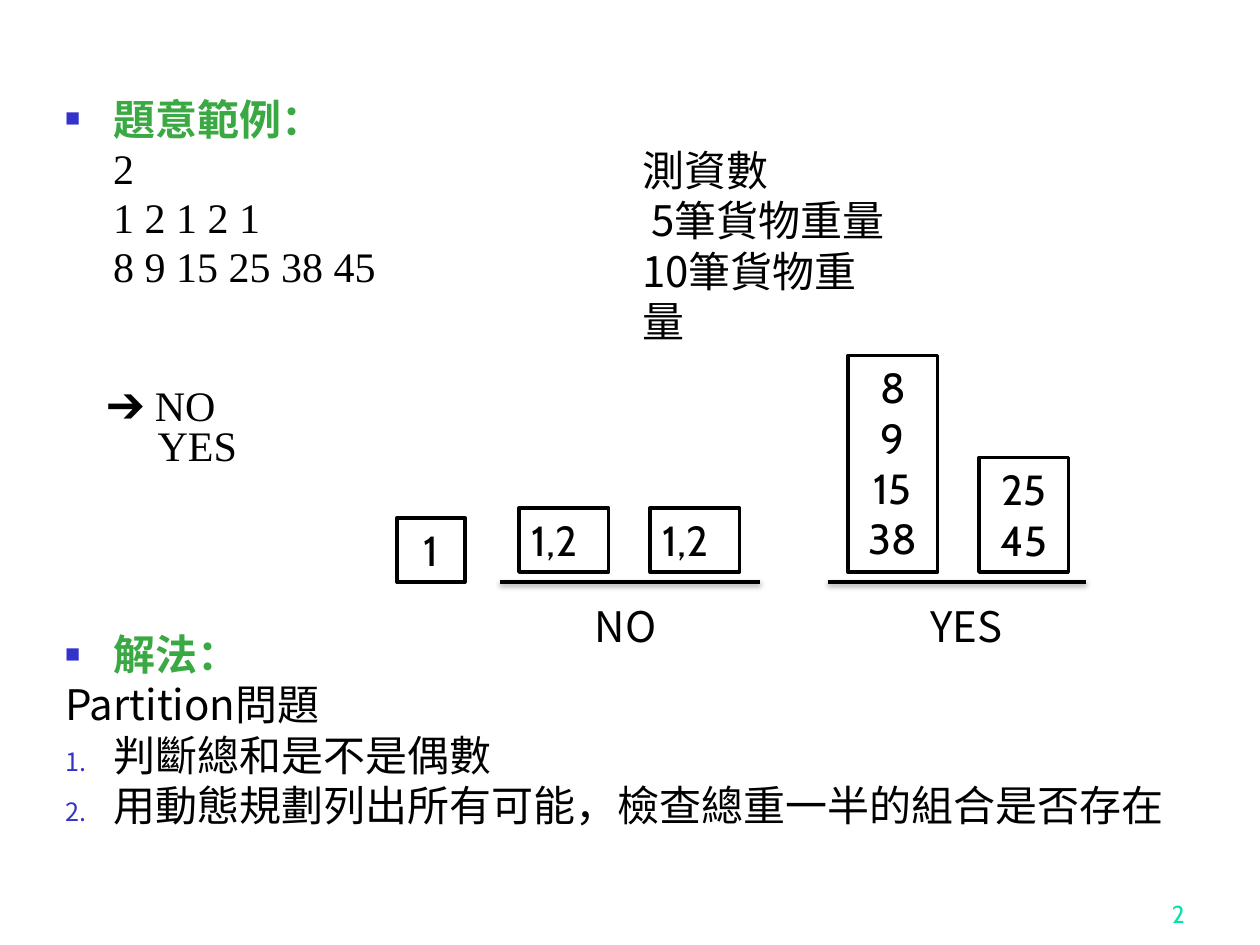
from dataclasses import dataclass
from typing import Optional

import lxml.etree
import pptx
import pptx.dml.color
import pptx.enum.shapes
import pptx.enum.text
import pptx.oxml.ns
import pptx.util

Pt = pptx.util.Pt
RGBColor = pptx.dml.color.RGBColor
Align = pptx.enum.text.PP_ALIGN
Anchor = pptx.enum.text.MSO_ANCHOR
qn = pptx.oxml.ns.qn

BLACK = RGBColor(0x00, 0x00, 0x00)
WHITE = RGBColor(0xFF, 0xFF, 0xFF)
HEADING_GREEN = RGBColor(0x3B, 0xA9, 0x43)
BULLET_BLUE = RGBColor(0x33, 0x33, 0xCC)
PAGE_GREEN = RGBColor(0x00, 0xE4, 0xA8)

SERIF = "Times New Roman"
HAN = "Noto Sans CJK SC"
LABEL = "Noto Sans CJK JP"
ROUND = "Cabin"

HANG = 27.36
BASE_Y = 332.6
BOX_WIDTH = 51.1
SQUARE = "square"
NUMBER = "number"


@dataclass(frozen=True)
class Line:
    text: str
    color: RGBColor = BLACK
    bold: bool = False
    margin: float = 0
    indent: float = 0
    marker: Optional[str] = None


@dataclass(frozen=True)
class Block:
    left: float
    top: float
    width: float
    height: float
    lines: tuple[Line, ...]
    font: str
    pitch: Optional[float] = None
    inset_top: float = 3.6
    align: Align = Align.LEFT
    size: float = 24
    anchor: Anchor = Anchor.TOP


@dataclass(frozen=True)
class Crate:
    left: float
    bottom: float
    height: float
    weights: tuple[str, ...]
    width: float = BOX_WIDTH
    align: Align = Align.CENTER


def add_marker(properties, marker: str) -> None:
    color = lxml.etree.SubElement(properties, qn("a:buClr"))
    lxml.etree.SubElement(color, qn("a:srgbClr"), val=str(BULLET_BLUE))
    lxml.etree.SubElement(properties, qn("a:buSzPct"), val="60000")
    if marker == NUMBER:
        lxml.etree.SubElement(properties, qn("a:buFont"), typeface=HAN)
        lxml.etree.SubElement(properties, qn("a:buAutoNum"), type="arabicPeriod")
    else:
        lxml.etree.SubElement(properties, qn("a:buFont"), typeface=SERIF)
        lxml.etree.SubElement(properties, qn("a:buChar"), char="■")


def write_lines(frame, block: Block) -> None:
    frame.word_wrap = True
    frame.margin_left = frame.margin_right = Pt(7.2)
    frame.margin_top, frame.margin_bottom = Pt(block.inset_top), Pt(3.6)
    frame.vertical_anchor = block.anchor
    frame.text = "\n".join(line.text for line in block.lines)
    for paragraph, line in zip(frame.paragraphs, block.lines):
        properties = paragraph._p.get_or_add_pPr()
        properties.set("marL", str(Pt(line.margin)))
        properties.set("indent", str(Pt(line.indent)))
        if line.marker:
            add_marker(properties, line.marker)
        paragraph.alignment = block.align
        if block.pitch:
            paragraph.line_spacing = Pt(block.pitch)
        for run in paragraph.runs:
            run.font.size = Pt(block.size)
            run.font.bold = line.bold
            run.font.color.rgb = line.color
            run.font.name = block.font
            east_asian = lxml.etree.Element(qn("a:ea"), typeface=HAN)
            run.font._element.find(qn("a:latin")).addnext(east_asian)


def draw_block(slide, block: Block) -> None:
    area = slide.shapes.add_textbox(
        Pt(block.left), Pt(block.top), Pt(block.width), Pt(block.height))
    write_lines(area.text_frame, block)


def draw_crate(slide, crate: Crate) -> None:
    top = crate.bottom - crate.height
    box = slide.shapes.add_shape(
        pptx.enum.shapes.MSO_SHAPE.RECTANGLE,
        Pt(crate.left), Pt(top), Pt(crate.width), Pt(crate.height))
    box.shadow.inherit = False
    box.fill.solid()
    box.fill.fore_color.rgb = WHITE
    box.line.color.rgb = BLACK
    box.line.width = Pt(2)
    weights = tuple(Line(weight) for weight in crate.weights)
    write_lines(box.text_frame, Block(
        crate.left, top, crate.width, crate.height, weights, ROUND,
        align=crate.align))


def draw_scale(slide, start: float, end: float) -> None:
    scale = slide.shapes.add_connector(
        pptx.enum.shapes.MSO_CONNECTOR.STRAIGHT,
        Pt(start), Pt(BASE_Y), Pt(end), Pt(BASE_Y))
    scale.line.color.rgb = BLACK
    scale.line.width = Pt(2)
    effects = lxml.etree.SubElement(scale._element.spPr, qn("a:effectLst"))
    shadow = lxml.etree.SubElement(
        effects, qn("a:outerShdw"), blurRad=str(Pt(3.1)), dist=str(Pt(1.6)),
        dir="5400000", rotWithShape="0")
    color = lxml.etree.SubElement(shadow, qn("a:srgbClr"), val=str(BLACK))
    lxml.etree.SubElement(color, qn("a:alpha"), val="38000")


def heading(text: str) -> Line:
    return Line(text, HEADING_GREEN, True, HANG, -HANG, SQUARE)


def step(text: str) -> Line:
    return Line(text, margin=HANG, indent=-HANG, marker=NUMBER)


BLOCKS = (
    Block(534.2, 498.2, 149.8, 36, (Line("2", PAGE_GREEN),), ROUND,
          align=Align.RIGHT, size=14, anchor=Anchor.BOTTOM),
    Block(30.2, 54, 205.2, 118.1, (
        heading("題意範例："),
        Line("2", margin=HANG),
        Line("1 2 1 2 1", margin=HANG),
        Line("8 9 15 25 38 45", margin=HANG),
    ), SERIF, 28, 0),
    Block(30.2, 353.5, 653.8, 123.8, (
        heading("解法："),
        Line("Partition問題", margin=HANG, indent=-HANG),
        step("判斷總和是不是偶數"),
        step("用動態規劃列出所有可能，檢查總重一半的組合是否存在"),
    ), HAN, 28.8, 5.6),
    Block(360, 77, 158.4, 94.3, (
        Line("測資數"),
        Line("5筆貨物重量", margin=5),
        Line("10筆貨物重量"),
    ), HAN, 28.8, 5.6),
    Block(54, 218.9, 90.7, 54.7,
          (Line("➔ NO"), Line("YES", margin=29)), SERIF, 23),
    Block(331.9, 337.7, 51.1, 36, (Line("NO"),), LABEL, 28.8, 5.6, Align.CENTER),
    Block(518.4, 337.7, 67.7, 36, (Line("YES"),), LABEL, 28.8, 5.6, Align.CENTER),
)

CRATES = (
    Crate(296.6, 326.9, 36.7, ("1,2",), align=Align.LEFT),
    Crate(371.5, 326.9, 36.7, ("1,2",), align=Align.LEFT),
    Crate(226.8, BASE_Y, 36.7, ("1",), width=38.9),
    Crate(484.6, 326.9, 123.8, ("8", "9", "15", "38")),
    Crate(559.4, 326.9, 65.5, ("25", "45")),
)

SCALES = ((285.8, 434.2), (473, 620.6))


def main() -> None:
    deck = pptx.Presentation()
    deck.slide_width, deck.slide_height = Pt(720), Pt(540)
    slide = deck.slides.add_slide(deck.slide_layouts[6])
    for block in BLOCKS:
        draw_block(slide, block)
    for crate in CRATES:
        draw_crate(slide, crate)
    for start, end in SCALES:
        draw_scale(slide, start, end)
    deck.save("out.pptx")


if __name__ == "__main__":
    main()
